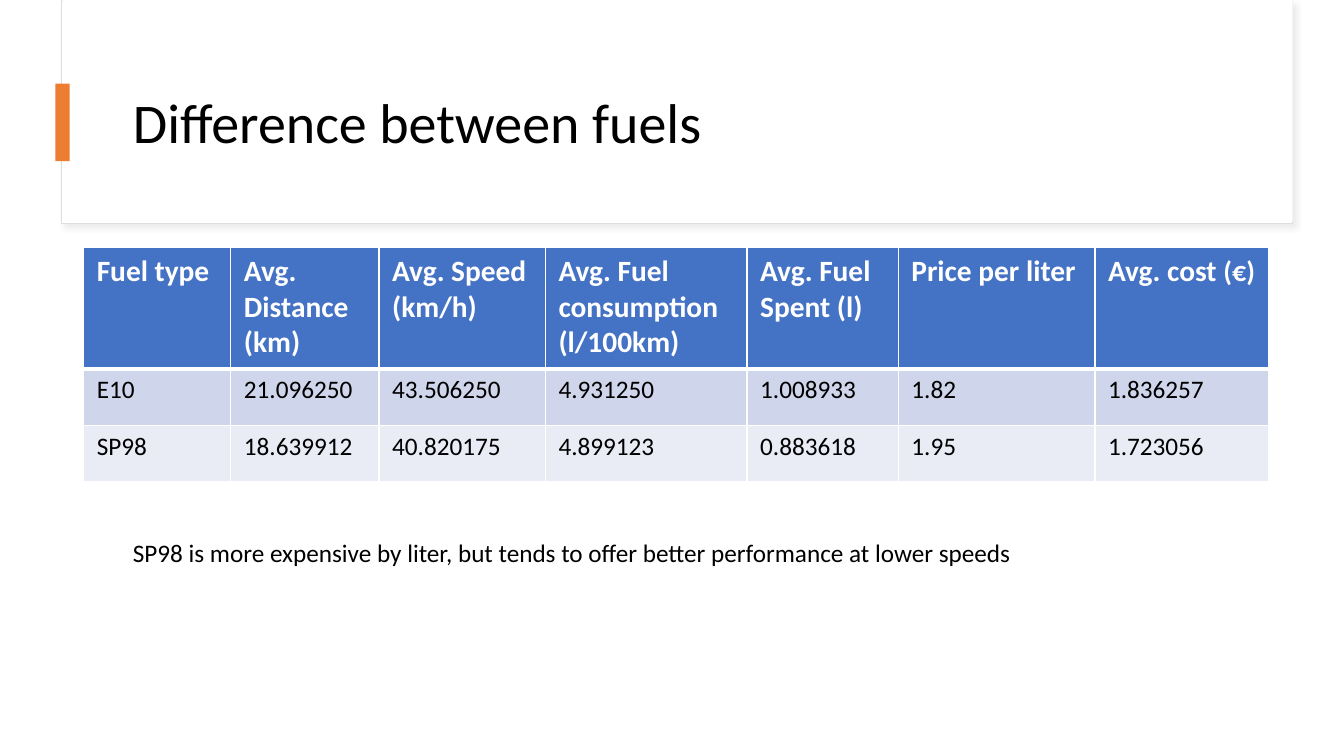
from pptx import Presentation, util as u
from pptx.dml.color import RGBColor
from pptx.enum import shapes, text
from pptx.oxml import parse_xml
from pptx.oxml.ns import nsdecls


def color(value):
    return RGBColor.from_string(value)


class FuelSlide:
    font = "Calibri"
    black = "000000"
    white = "FFFFFF"
    header_fill = "4472C4"
    band_fills = ("CFD5EA", "E9EBF5")

    def __init__(self, prs):
        self.s = prs.slides.add_slide(prs.slide_layouts[6])

    def style(self, p, size, value, bold=False):
        for r in p.runs:
            r.font.name = self.font
            r.font.size = u.Pt(size)
            r.font.bold = bold
            r.font.color.rgb = color(value)

    def rect(self, x, y, w, h, fill, line=None):
        sp = self.s.shapes.add_shape(
            shapes.MSO_SHAPE.RECTANGLE, *map(u.Inches, (x, y, w, h)))
        sp.shadow.inherit = False
        sp.fill.solid()
        sp.fill.fore_color.rgb = color(fill)
        if line:
            sp.line.color.rgb = color(line)
            sp.line.width = u.Pt(0.75)
        else:
            sp.line.fill.background()
        return sp

    def shadow(self, sp, value):
        effects = sp._element.spPr.find(
            "{http://schemas.openxmlformats.org/drawingml/2006/main}effectLst")
        effects.append(parse_xml(
            f'<a:outerShdw {nsdecls("a")} blurRad="{u.Pt(4)}" dist="{u.Pt(3)}" '
            f'dir="2700000" algn="tl" rotWithShape="0"><a:srgbClr val="{value}">'
            '<a:alpha val="50000"/></a:srgbClr></a:outerShdw>'))

    def text(self, x, y, w, h, words, size, anchor=text.MSO_ANCHOR.TOP, spacing=1.0):
        tf = self.s.shapes.add_textbox(*map(u.Inches, (x, y, w, h))).text_frame
        tf.word_wrap = True
        tf.vertical_anchor = anchor
        tf.text = words
        p = tf.paragraphs[0]
        p.line_spacing = spacing
        self.style(p, size, self.black)

    def borders(self, cell, top, bottom):
        tcPr = cell._tc.get_or_add_tcPr()
        widths = {"L": 1, "R": 1, "T": top, "B": bottom}
        for i, (side, width) in enumerate(widths.items()):
            tcPr.insert(i, parse_xml(
                f'<a:ln{side} {nsdecls("a")} w="{u.Pt(width)}"><a:solidFill>'
                f'<a:srgbClr val="{self.white}"/></a:solidFill></a:ln{side}>'))

    def table(self, x, y, widths, heights, rows):
        tbl = self.s.shapes.add_table(
            len(rows), len(widths),
            *map(u.Inches, (x, y, sum(widths), sum(heights)))).table
        for column, width in zip(tbl.columns, widths):
            column.width = u.Inches(width)
        for i, (row, height) in enumerate(zip(rows, heights)):
            tbl.rows[i].height = u.Inches(height)
            for j, words in enumerate(row):
                self.cell(tbl.cell(i, j), i, words)
        return tbl

    def cell(self, cell, row, words):
        header = row == 0
        cell.text = words
        cell.margin_left = cell.margin_right = u.Inches(0.13)
        cell.margin_top = cell.margin_bottom = u.Inches(0.06)
        cell.fill.solid()
        fill = self.header_fill if header else self.band_fills[(row - 1) % 2]
        cell.fill.fore_color.rgb = color(fill)
        self.borders(cell, 3 if row == 1 else 1, 3 if header else 1)
        self.style(cell.text_frame.paragraphs[0], 21 if header else 18,
                   self.white if header else self.black, header)


def main():
    prs = Presentation()
    prs.slide_width = u.Inches(13.33)
    prs.slide_height = u.Inches(7.5)
    slide = FuelSlide(prs)

    panel = slide.rect(0.61, 0.01, 12.21, 2.21, "FFFFFF", "DEDEDE")
    slide.shadow(panel, "D9D9D9")
    slide.rect(0.62, 0, 12.2, 2.2, "FFFFFF")
    slide.text(1.22, 0.6, 11.12, 1.29, "Difference between fuels", 40,
               text.MSO_ANCHOR.MIDDLE, 0.9)
    slide.rect(0.55, 0.83, 0.14, 0.77, "ED7D31")

    rows = [
        ["Fuel type", "Avg. Distance (km)", "Avg. Speed (km/h)",
         "Avg. Fuel consumption (l/100km)", "Avg. Fuel Spent (l)",
         "Price per liter", "Avg. cost "],
        ["E10", "21.096250", "43.506250", "4.931250", "1.008933", "1.82", "1.836257"],
        ["SP98", "18.639912", "40.820175", "4.899123", "0.883618", "1.95", "1.723056"],
    ]
    tbl = slide.table(0.83, 2.45, [1.46, 1.47, 1.65, 2, 1.5, 1.95, 1.72],
                      [1.21, 0.56, 0.56], rows)
    p = tbl.cell(0, 6).text_frame.paragraphs[0]
    r = p.add_run()
    r.text = "(€)"
    slide.style(p, 21, slide.white, True)
    r.font.size = u.Pt(20)

    slide.text(1.22, 5.28, 11.12, 0.4,
               "SP98 is more expensive by liter, but tends to offer better "
               "performance at lower speeds", 18)
    prs.save("out.pptx")


if __name__ == "__main__":
    main()
